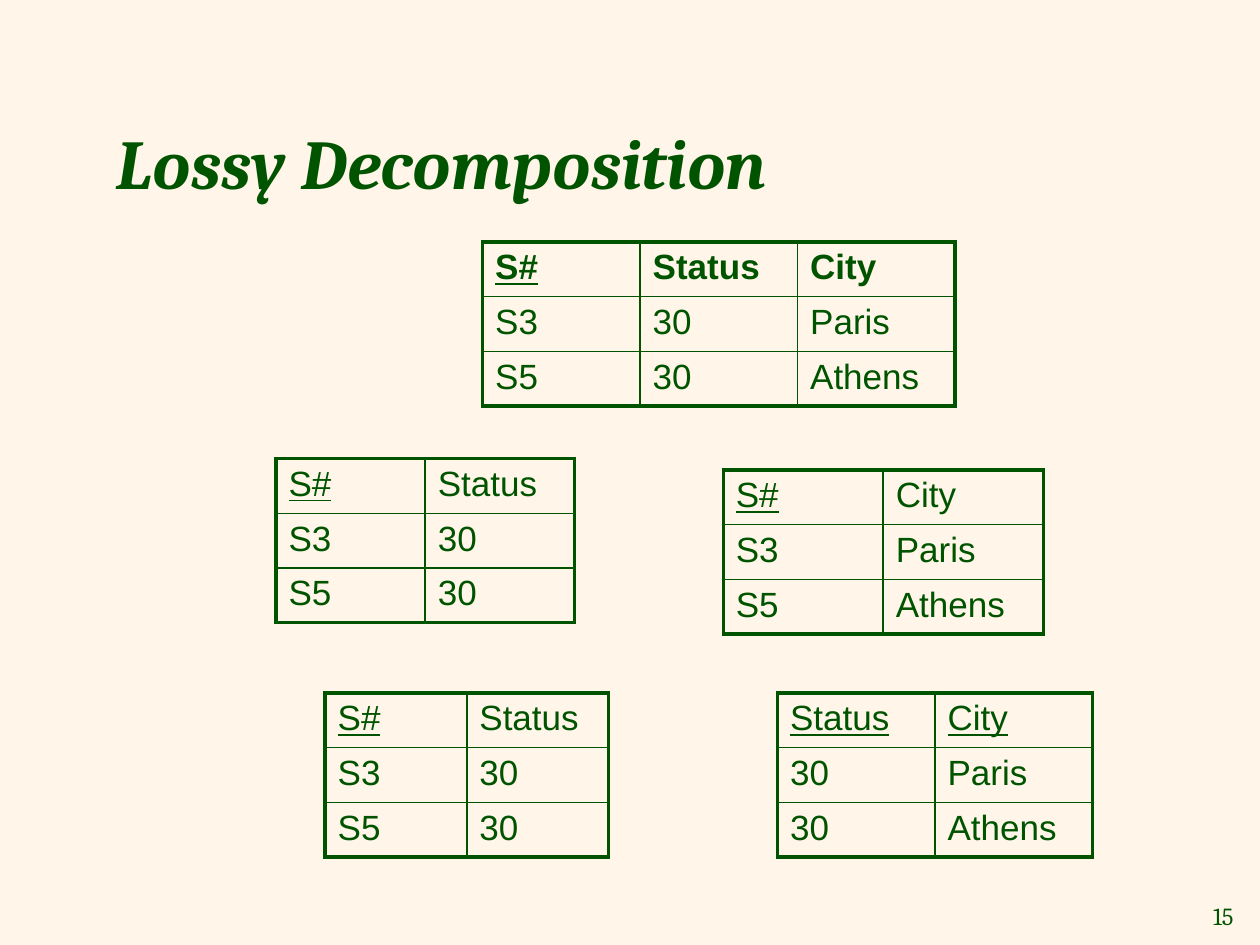
from lxml import etree
from pptx import Presentation, util as u
from pptx.dml.color import RGBColor
from pptx.enum import text
from pptx.oxml.ns import qn

GREEN = RGBColor(0x00, 0x54, 0x00)
CREAM = RGBColor(0xFF, 0xF6, 0xE9)
OUTER, INNER = u.Pt(2.25), u.Pt(1)

deck = Presentation()
deck.slide_width, deck.slide_height = u.Inches(10), u.Inches(7.5)
COLUMN, ROW = deck.slide_width / 100, deck.slide_height / 75
page = deck.slides.add_slide(deck.slide_layouts[6])
page.background.fill.solid()
page.background.fill.fore_color.rgb = CREAM


def grid(left, top, width, height):
    return [round(n) for n in (left * COLUMN, top * ROW, width * COLUMN, height * ROW)]


def style(para, name, size, bold=False, italic=False, underline=False):
    font = para.font
    font.name, font.size, font.color.rgb = name, u.Pt(size), GREEN
    font.bold, font.italic, font.underline = bold, italic, underline


labels = [
    ("15", (94.5, 71, 4.4, 3.3), 14, False, text.PP_ALIGN.RIGHT),
    ("Lossy Decomposition", (8.3, 5, 89.3, 15.7), 40, True, text.PP_ALIGN.LEFT),
]
for words, place, size, strong, align in labels:
    box = page.shapes.add_textbox(*grid(*place)).text_frame
    box.word_wrap = strong
    box.vertical_anchor = text.MSO_ANCHOR.MIDDLE
    para = box.paragraphs[0]
    para.text, para.alignment = words, align
    style(para, "Cambria", size, strong, strong)

suppliers = [("S3", "30", "Paris"), ("S5", "30", "Athens")]
fields = ("S#", "Status", "City")
relations = [
    (21.9, 36.4, 11.85, (0, 1), {"S#"}, False),
    (57.4, 37.3, 12.7, (0, 2), {"S#"}, False),
    (25.8, 55, 11.25, (0, 1), {"S#"}, False),
    (61.7, 55, 12.5, (1, 2), {"Status", "City"}, False),
    (38.3, 19.2, 12.5, (0, 1, 2), {"S#"}, True),
]
for left, top, column_width, kept, keys, bold_header in relations:
    records = [[record[i] for i in kept] for record in [fields, *suppliers]]
    last_row, last_column = len(records) - 1, len(kept) - 1
    place = grid(left, top, column_width * len(kept), 13)
    table = page.shapes.add_table(len(records), len(kept), *place).table
    table.first_row = table.horz_banding = False
    for r, record in enumerate(records):
        for c, value in enumerate(record):
            cell = table.cell(r, c)
            cell.text = value
            style(cell.text_frame.paragraphs[0], "Arial", 20,
                  bold=bold_header and r == 0, underline=value in keys)
            edges = {"L": c == 0, "R": c == last_column, "T": r == 0, "B": r == last_row}
            properties = cell._tc.get_or_add_tcPr()
            for side, outside in edges.items():
                line = etree.SubElement(properties, qn(f"a:ln{side}"), w=str(OUTER if outside else INNER))
                fill = etree.SubElement(line, qn("a:solidFill"))
                etree.SubElement(fill, qn("a:srgbClr"), val=str(GREEN))
            cell.fill.background()

deck.save("out.pptx")
